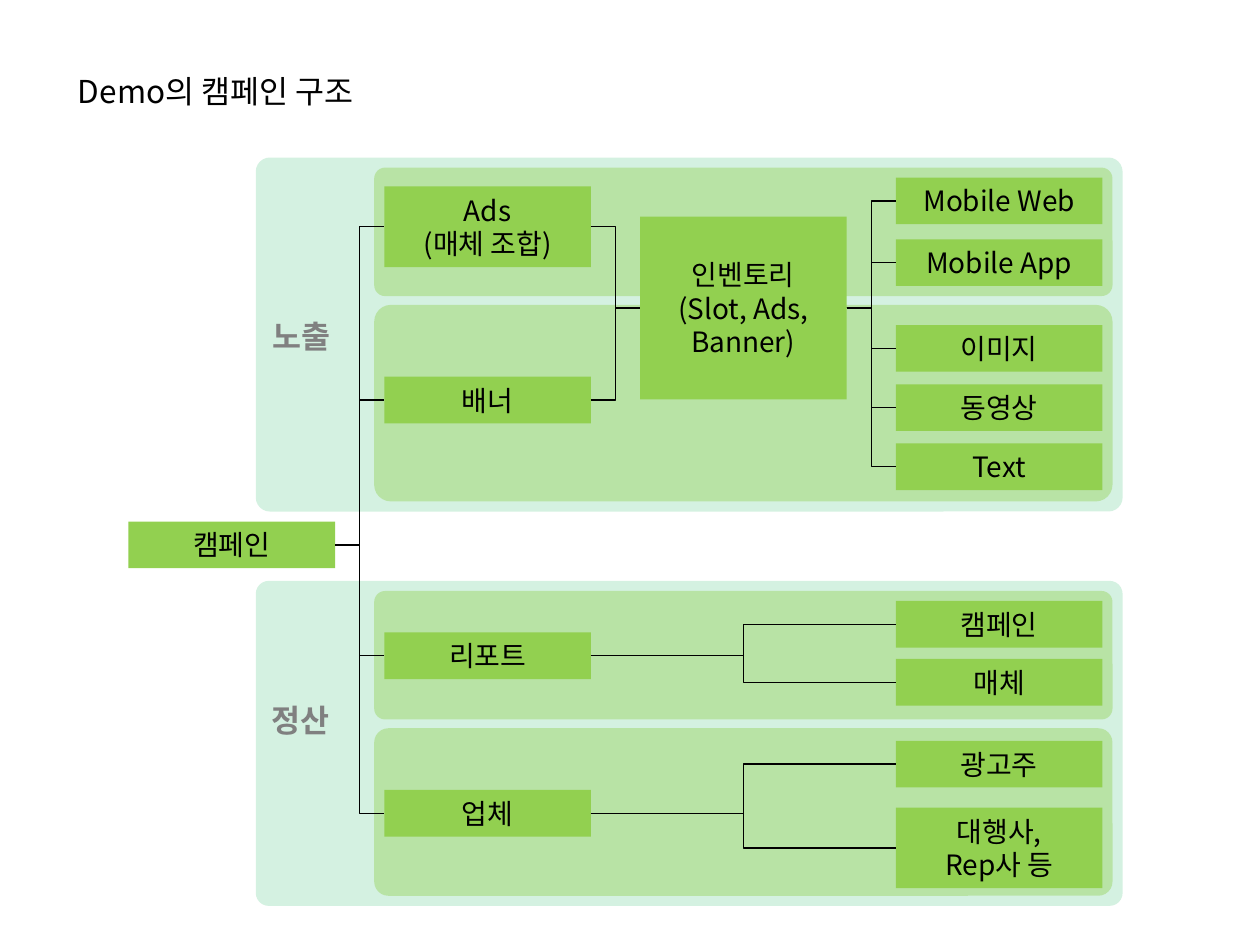
from dataclasses import dataclass

from lxml import etree
from pptx import Presentation
from pptx import util as u
from pptx.dml.color import RGBColor
from pptx.enum import shapes, text
from pptx.oxml.ns import qn

FONT = "Noto Sans CJK KR"
BLACK = RGBColor(0x00, 0x00, 0x00)
GRAY = RGBColor(0x80, 0x80, 0x80)
GREEN = RGBColor(0x00, 0xB0, 0x50)
LIME = RGBColor(0x92, 0xD0, 0x50)

# Four equal columns of boxes, in inches
COL_LEFT, COL_STEP, BOX_W = 1.02, 2.03, 1.64
ONE_LINE, TWO_LINES = 0.37, 0.64
GROUP_X, GROUP_W = 2.03, 6.88
PANEL_X, PANEL_W = 2.97, 5.86


@dataclass(frozen=True)
class Group:
    label: str
    top: float
    height: float
    label_inset: float


@dataclass(frozen=True)
class Panel:
    top: float
    height: float


@dataclass(frozen=True)
class Box:
    key: str
    col: int
    top: float
    label: str
    height: float = ONE_LINE


GROUPS = [
    Group("정산", 4.61, 2.58, 0.92),
    Group("노출", 1.25, 2.81, 1.23),
]
PANELS = [Panel(1.33, 1.02), Panel(2.42, 1.56), Panel(4.69, 1.02), Panel(5.78, 1.33)]
BOXES = [
    Box("campaign", 0, 4.14, "캠페인"),
    Box("ads", 1, 1.48, "Ads\n(매체 조합)", TWO_LINES),
    Box("banner", 1, 2.99, "배너"),
    Box("report", 1, 5.02, "리포트"),
    Box("company", 1, 6.27, "업체"),
    Box("inventory", 2, 1.72, "인벤토리\n(Slot, Ads, Banner)", 1.45),
    Box("web", 3, 1.41, "Mobile Web"),
    Box("app", 3, 1.9, "Mobile App"),
    Box("image", 3, 2.58, "이미지"),
    Box("video", 3, 3.05, "동영상"),
    Box("text", 3, 3.52, "Text"),
    Box("by_campaign", 3, 4.77, "캠페인"),
    Box("by_media", 3, 5.23, "매체"),
    Box("advertiser", 3, 5.88, "광고주"),
    Box("agency", 3, 6.41, "대행사,\nRep사 등", TWO_LINES),
]
CHILDREN = {
    "campaign": ["ads", "banner", "report", "company"],
    "ads": ["inventory"],
    "banner": ["inventory"],
    "inventory": ["web", "app", "image", "video", "text"],
    "report": ["by_campaign", "by_media"],
    "company": ["advertiser", "agency"],
}


def write(tf, content: str, size: int, color: RGBColor, align, bold: bool = False) -> None:
    """Fill a text frame, one paragraph per line."""
    tf.text = content
    for p in tf.paragraphs:
        p.alignment = align
        p.font.name, p.font.size, p.font.bold = FONT, u.Pt(size), bold
        p.font.color.rgb = color
        # Korean letters take the East Asian typeface
        latin = p.font._element.find(qn("a:latin"))
        ea = etree.Element(qn("a:ea"), typeface=FONT)
        latin.addnext(ea)


def add_block(s, kind, left: float, top: float, width: float, height: float,
              color: RGBColor, opacity: int = 100):
    """Add a borderless filled shape."""
    sp = s.shapes.add_shape(kind, *map(u.Inches, (left, top, width, height)))
    sp.shadow.inherit = False
    sp.line.fill.background()
    sp.fill.solid()
    sp.fill.fore_color.rgb = color
    if opacity < 100:
        clr = sp.fill._xPr.find(qn("a:solidFill"))[0]
        etree.SubElement(clr, qn("a:alpha"), val=str(opacity * 1000))
    return sp


def add_group(s, g: Group) -> None:
    sp = add_block(s, shapes.MSO_SHAPE.ROUNDED_RECTANGLE,
                   GROUP_X, g.top, GROUP_W, g.height, GREEN, 17)
    sp.adjustments[0] = 0.04
    tf = sp.text_frame
    tf.vertical_anchor = text.MSO_ANCHOR.TOP
    tf.margin_top = u.Inches(g.label_inset)
    write(tf, g.label, 18, GRAY, text.PP_ALIGN.LEFT, bold=True)


def add_panel(s, panel: Panel) -> None:
    sp = add_block(s, shapes.MSO_SHAPE.ROUNDED_RECTANGLE,
                   PANEL_X, panel.top, PANEL_W, panel.height, LIME, 41)
    sp.adjustments[0] = 0.085


def add_box(s, box: Box):
    sp = add_block(s, shapes.MSO_SHAPE.RECTANGLE, COL_LEFT + box.col * COL_STEP,
                   box.top, BOX_W, box.height, LIME)
    tf = sp.text_frame
    tf.word_wrap = True
    tf.vertical_anchor = text.MSO_ANCHOR.MIDDLE
    write(tf, box.label, 16, BLACK, text.PP_ALIGN.CENTER)
    for p in tf.paragraphs:
        p.line_spacing = u.Pt(19)
    return sp


def add_link(s, parent, child) -> None:
    """Join the right side of parent to the left side of child."""
    link = s.shapes.add_connector(shapes.MSO_CONNECTOR.ELBOW, 0, 0, 0, 0)
    link.begin_connect(parent, 3)
    link.end_connect(child, 1)
    link.line.color.rgb = BLACK
    link.line.width = u.Pt(0.75)
    etree.SubElement(link._element.spPr, qn("a:effectLst"))


def main() -> None:
    prs = Presentation()
    prs.slide_width, prs.slide_height = u.Inches(10), u.Inches(7.5)
    s = prs.slides.add_slide(prs.slide_layouts[6])

    # Title
    title = s.shapes.add_textbox(*map(u.Inches, (0.52, 0.52, 2.41, 0.41)))
    title.text_frame.word_wrap = False
    write(title.text_frame, "Demo의 캠페인 구조", 18, BLACK, text.PP_ALIGN.LEFT)

    # Background areas
    for g in GROUPS:
        add_group(s, g)
    for panel in PANELS:
        add_panel(s, panel)

    # Campaign tree
    nodes = {box.key: add_box(s, box) for box in BOXES}
    for parent, children in CHILDREN.items():
        for child in children:
            add_link(s, nodes[parent], nodes[child])

    prs.save("out.pptx")


if __name__ == "__main__":
    main()
